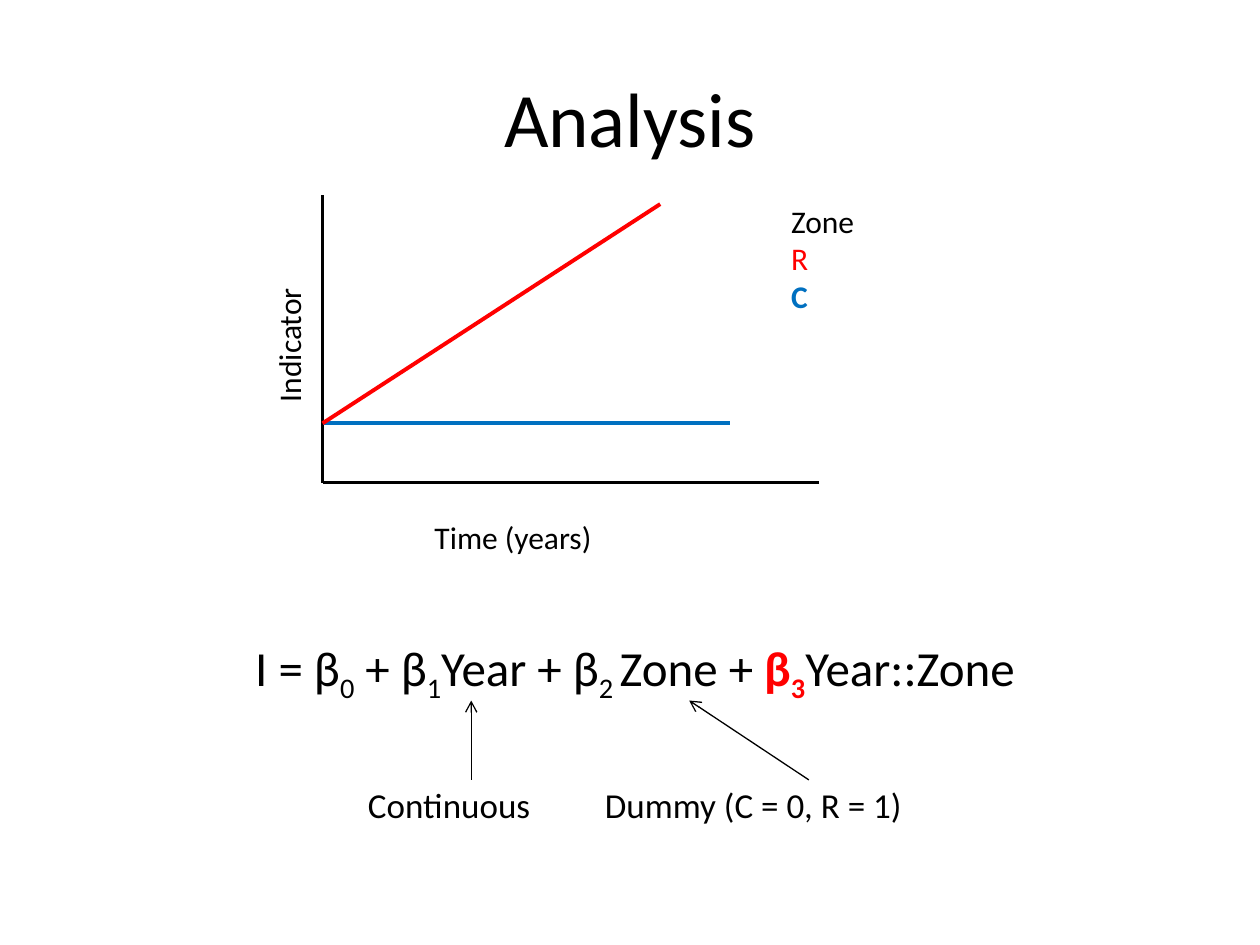
"""Build the Analysis slide: a two-line sketch graph above its regression equation."""
from lxml import etree
from pptx import Presentation
from pptx.dml.color import RGBColor
from pptx.enum.shapes import MSO_CONNECTOR as Connector
from pptx.enum.text import MSO_ANCHOR as Anchor, PP_ALIGN as Align
from pptx.oxml.ns import qn
from pptx.util import Inches, Pt

BLACK = RGBColor(0x00, 0x00, 0x00)
RED = RGBColor(0xFF, 0x00, 0x00)
BLUE = RGBColor(0x00, 0x70, 0xC0)


def add_span(para, text, size=18, color=BLACK, bold=False, subscript=False):
    span = para.add_run()
    span.text = text
    span.font.name = "Calibri"
    span.font.size = Pt(size)
    span.font.color.rgb = color
    span.font.bold = bold
    if subscript:
        span.font._element.set("baseline", "-25000")


def add_box(left, top, width, height, wrap=False):
    box = page.shapes.add_textbox(Inches(left), Inches(top), Inches(width), Inches(height))
    box.text_frame.word_wrap = wrap
    return box


deck = Presentation()
deck.slide_width, deck.slide_height = Inches(10), Inches(7.5)
page = deck.slides.add_slide(deck.slide_layouts[6])

title = add_box(0.5, 0.3, 9, 1.25, wrap=True)
title.text_frame.vertical_anchor = Anchor.MIDDLE
title.text_frame.paragraphs[0].alignment = Align.CENTER
add_span(title.text_frame.paragraphs[0], "Analysis", size=44)

axis_left, axis_bottom, baseline = 2.56, 3.83, 3.36
lines = [
    ((axis_left, 1.55), (axis_left, axis_bottom), BLACK, 1.5, False),
    ((6.5, axis_bottom), (axis_left, axis_bottom), BLACK, 1.5, False),
    ((axis_left, baseline), (5.79, baseline), BLUE, 2.25, False),
    ((axis_left, baseline), (5.24, 1.62), RED, 2.25, False),
    ((6.42, 6.19), (5.47, 5.56), BLACK, 0.75, True),
    ((3.74, 6.19), (3.74, 5.56), BLACK, 0.75, True),
]
for start, end, color, weight, arrow in lines:
    line = page.shapes.add_connector(Connector.STRAIGHT, *map(Inches, start + end))
    line.line.color.rgb = color
    line.line.width = Pt(weight)
    if arrow:
        etree.SubElement(line.line._get_or_add_ln(), qn("a:tailEnd"), type="arrow")
    etree.SubElement(line._element.spPr, qn("a:effectLst"))

time_label = add_box(3.35, 4.06, 1.46, 0.4)
add_span(time_label.text_frame.paragraphs[0], "Time (years)")

indicator_label = add_box(1.73, 2.53, 1.12, 0.4)
indicator_label.rotation = 270
add_span(indicator_label.text_frame.paragraphs[0], "Indicator")

legend = add_box(6.18, 1.55, 0.71, 1.01).text_frame
add_span(legend.paragraphs[0], "Zone")
add_span(legend.add_paragraph(), "R", color=RED)
add_span(legend.add_paragraph(), "C", color=BLUE, bold=True)

model = add_box(0.51, 5.01, 9.06, 2.13, wrap=True).text_frame
equation, notes = model.paragraphs[0], model.add_paragraph()
for para in (equation, notes):
    para.alignment = Align.CENTER
    properties = para._p.get_or_add_pPr()
    properties.set("marL", str(Inches(0.38)))
    properties.set("indent", str(Inches(-0.38)))
notes.space_before = Pt(45)

terms = [("I = β", "0"), (" + β", "1"), ("Year + β", "2 "), ("Zone + ", "")]
for text, index in terms:
    add_span(equation, text, size=28)
    if index:
        add_span(equation, index, size=28, subscript=True)
add_span(equation, "β", size=28, color=RED, bold=True)
add_span(equation, "3", size=28, color=RED, bold=True, subscript=True)
add_span(equation, "Year::Zone", size=28)
add_span(notes, "Continuous\t\tDummy (C = 0, R = 1)", size=20)

deck.save("out.pptx")
